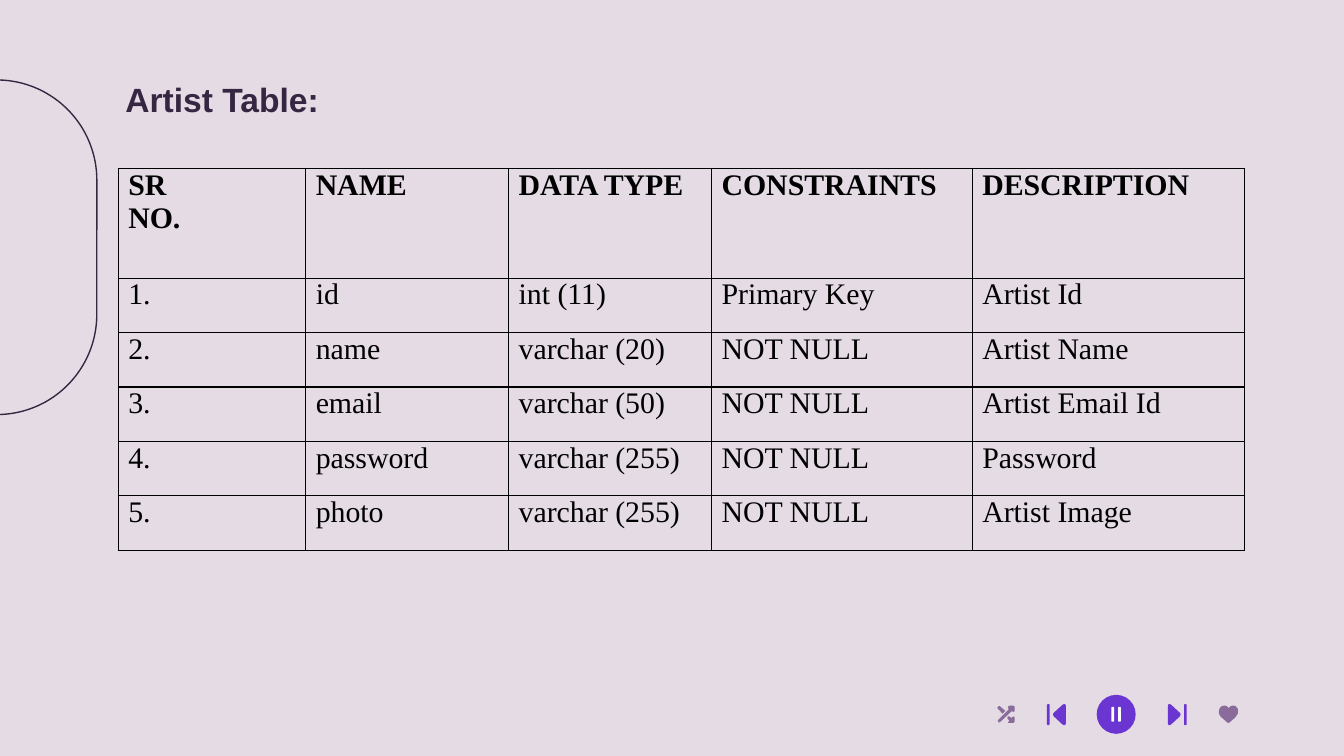
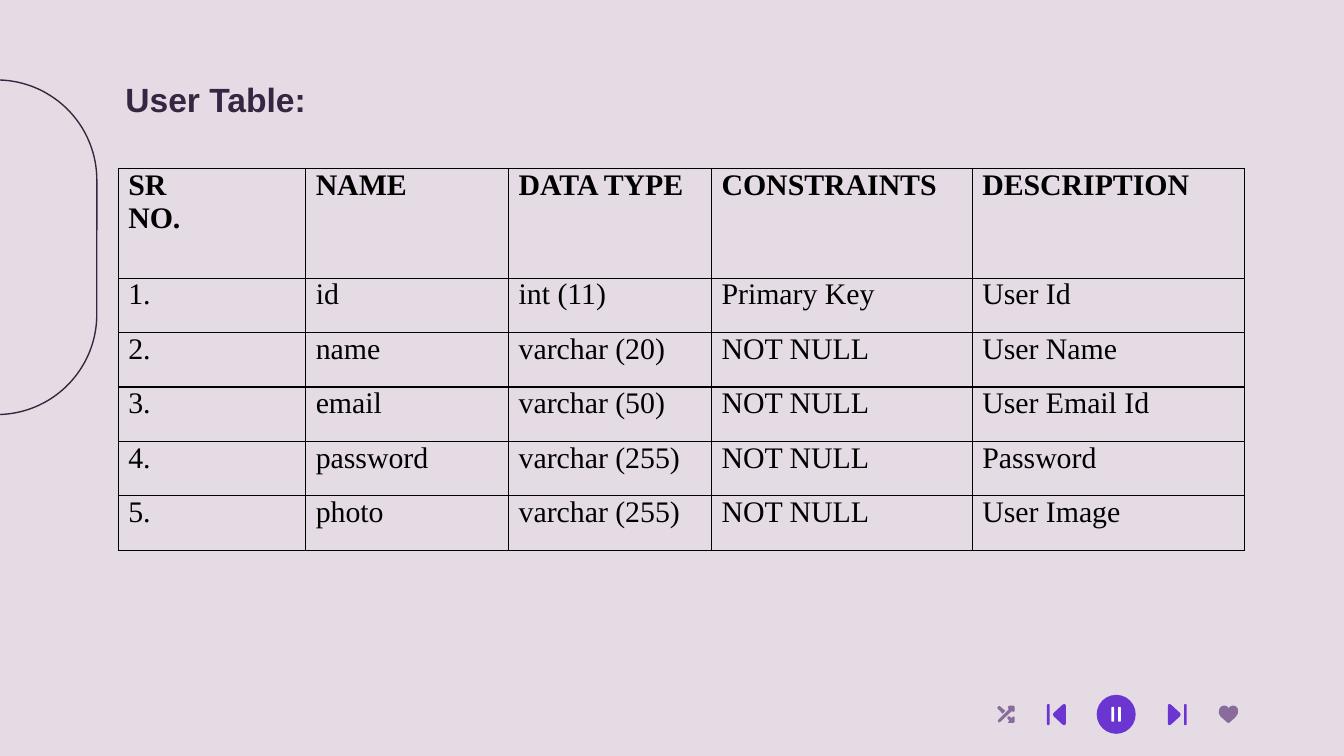
from dataclasses import dataclass
from typing import Optional

from lxml import etree
from pptx import Presentation
from pptx import util as u
from pptx.dml.color import RGBColor
from pptx.enum import shapes, text
from pptx.oxml import ns

PX = 4572  # EMU in one px, 200 px to the inch

LILAC = RGBColor(0xE4, 0xDB, 0xE5)
PLUM = RGBColor(0x36, 0x26, 0x41)
VIOLET = RGBColor(0x6B, 0x35, 0xD2)
MAUVE = RGBColor(0x89, 0x6C, 0x9B)
WHITE = RGBColor(0xFF, 0xFF, 0xFF)
BLACK = RGBColor(0x00, 0x00, 0x00)

TITLE_FONT = "Arial"
TABLE_FONT = "Times New Roman"
LINE_WIDTH = u.Pt(0.75)

COLUMN_WIDTHS = (279, 302, 302, 388, 405)
HEADER_HEIGHT, ROW_HEIGHT = 163, 81
HEADINGS = ("SR\nNO.", "NAME", "DATA TYPE", "CONSTRAINTS", "DESCRIPTION")

Contour = tuple[tuple[int, int], ...]


@dataclass(frozen=True)
class Icon:
    """A filled outline made of one or more closed contours."""
    color: RGBColor
    contours: tuple[Contour, ...]


@dataclass(frozen=True)
class Field:
    name: str
    data_type: str
    constraint: str
    description: str


@dataclass(frozen=True)
class Entity:
    name: str

    def fields(self) -> tuple[Field, ...]:
        return (
            Field("id", "int (11)", "Primary Key", f"{self.name} Id"),
            Field("name", "varchar (20)", "NOT NULL", f"{self.name} Name"),
            Field("email", "varchar (50)", "NOT NULL", f"{self.name} Email Id"),
            Field("password", "varchar (255)", "NOT NULL", "Password"),
            Field("photo", "varchar (255)", "NOT NULL", f"{self.name} Image"),
        )


def px(length: int) -> u.Emu:
    return u.Emu(length * PX)


def mirror(contours: tuple[Contour, ...], axis_sum: int) -> tuple[Contour, ...]:
    """Flip left to right; axis_sum is twice the x of the axis."""
    return tuple(tuple((axis_sum - x, y) for x, y in contour) for contour in contours)


def bar(left: int, top: int, bottom: int) -> Contour:
    """A bar 4 px wide with bevelled ends."""
    right = left + 4
    return ((left, top + 1), (left + 1, top), (right - 1, top), (right, top + 1),
            (right, bottom - 1), (right - 1, bottom), (left + 1, bottom),
            (left, bottom - 1))


SKIP_NEXT = (
    bar(1762, 1048, 1079),
    ((1738, 1050), (1739, 1048), (1741, 1048), (1743, 1049), (1756, 1061),
     (1757, 1063), (1756, 1066), (1743, 1078), (1741, 1079), (1739, 1079),
     (1738, 1077)),
)
HEART = (
    ((1814, 1058), (1815, 1054), (1818, 1051), (1822, 1050), (1826, 1051),
     (1828, 1054), (1830, 1052), (1834, 1050), (1839, 1051), (1842, 1055),
     (1842, 1062), (1838, 1068), (1830, 1075), (1828, 1076), (1826, 1075),
     (1816, 1066), (1814, 1062)),
)
SHUFFLE = (
    ((1484, 1054), (1492, 1062), (1496, 1058), (1488, 1051), (1486, 1051)),
    ((1508, 1066), (1506, 1068), (1504, 1068), (1502, 1066), (1500, 1066),
     (1499, 1069), (1502, 1072), (1501, 1074), (1500, 1076), (1508, 1076),
     (1510, 1074), (1510, 1068)),
    ((1504, 1060), (1488, 1075), (1486, 1075), (1485, 1072), (1501, 1056),
     (1500, 1052), (1502, 1050), (1508, 1050), (1510, 1052), (1510, 1058),
     (1508, 1060), (1506, 1058)),
)
ICONS = (
    Icon(MAUVE, HEART),
    Icon(VIOLET, SKIP_NEXT),
    Icon(VIOLET, mirror(SKIP_NEXT, 3324)),
    Icon(MAUVE, SHUFFLE),
    Icon(WHITE, (bar(1654, 1052, 1074), bar(1664, 1052, 1074))),
)


def paint(shape, fill: Optional[RGBColor] = None, line: Optional[RGBColor] = None) -> None:
    shape.shadow.inherit = False
    if fill is None:
        shape.fill.background()
    else:
        shape.fill.solid()
        shape.fill.fore_color.rgb = fill
    if line is None:
        shape.line.fill.background()
    else:
        shape.line.color.rgb = line
        shape.line.width = LINE_WIDTH


def write(frame, words: str, *, font: str, size: int, color: RGBColor,
          bold: bool = False) -> None:
    """Fill a text frame, one paragraph to each line of words."""
    for index, line in enumerate(words.split("\n")):
        para = frame.add_paragraph() if index else frame.paragraphs[0]
        para.alignment = text.PP_ALIGN.LEFT
        span = para.add_run()
        span.text = line
        span.font.name = font
        span.font.size = u.Pt(size)
        span.font.bold = bold
        span.font.color.rgb = color


def draw_icon(page, icon: Icon) -> None:
    first, *others = icon.contours
    builder = page.shapes.build_freeform(*map(px, first[0]))
    builder.add_line_segments([(px(x), px(y)) for x, y in first[1:]], close=True)
    for contour in others:
        builder.move_to(*map(px, contour[0]))
        builder.add_line_segments([(px(x), px(y)) for x, y in contour[1:]], close=True)
    paint(builder.convert_to_shape(), fill=icon.color)


def draw_frame(page) -> None:
    """Background, side capsule and player controls."""
    page.background.fill.solid()
    page.background.fill.fore_color.rgb = LILAC
    capsule = page.shapes.add_shape(
        shapes.MSO_SHAPE.ROUNDED_RECTANGLE, px(-254), px(219), px(498), px(298))
    capsule.adjustments[0] = 0.5
    capsule.rotation = 90
    paint(capsule, line=PLUM)
    button = page.shapes.add_shape(
        shapes.MSO_SHAPE.OVAL, px(1632), px(1034), px(58), px(58))
    paint(button, fill=VIOLET)
    for icon in ICONS:
        draw_icon(page, icon)


def draw_title(page, words: str) -> None:
    box = page.shapes.add_textbox(px(167), px(98), px(1686), px(126))
    frame = box.text_frame
    frame.word_wrap = True
    frame.vertical_anchor = text.MSO_ANCHOR.TOP
    frame.margin_left = frame.margin_right = px(20)
    frame.margin_top = frame.margin_bottom = px(20)
    write(frame, words, font=TITLE_FONT, size=18, color=PLUM, bold=True)


def add_borders(cell) -> None:
    properties = cell._tc.get_or_add_tcPr()
    for side in ("a:lnL", "a:lnR", "a:lnT", "a:lnB"):
        line = etree.SubElement(properties, ns.qn(side), w=str(int(LINE_WIDTH)))
        fill = etree.SubElement(line, ns.qn("a:solidFill"))
        etree.SubElement(fill, ns.qn("a:srgbClr"), val=str(BLACK))


def draw_table(page, fields: tuple[Field, ...]) -> None:
    rows = [HEADINGS] + [
        (f"{number}.", field.name, field.data_type, field.constraint, field.description)
        for number, field in enumerate(fields, 1)
    ]
    heights = [HEADER_HEIGHT] + [ROW_HEIGHT] * len(fields)
    table = page.shapes.add_table(
        len(rows), len(HEADINGS), px(176), px(251),
        px(sum(COLUMN_WIDTHS)), px(sum(heights))).table
    table.first_row = table.horz_banding = False
    for column, width in zip(table.columns, COLUMN_WIDTHS):
        column.width = px(width)
    for row_index, (values, height) in enumerate(zip(rows, heights)):
        table.rows[row_index].height = px(height)
        for column_index, value in enumerate(values):
            cell = table.cell(row_index, column_index)
            cell.margin_left = cell.margin_right = px(15)
            cell.margin_top = cell.margin_bottom = 0
            add_borders(cell)
            cell.fill.background()
            write(cell.text_frame, value, font=TABLE_FONT, size=16, color=BLACK,
                  bold=row_index == 0)


def main() -> None:
    deck = Presentation()
    deck.slide_width, deck.slide_height = px(2000), px(1125)
    for entity in (Entity("Artist"), Entity("User")):
        page = deck.slides.add_slide(deck.slide_layouts[6])
        draw_frame(page)
        draw_table(page, entity.fields())
        draw_title(page, f"{entity.name} Table:")
    deck.save("out.pptx")


if __name__ == "__main__":
    main()
